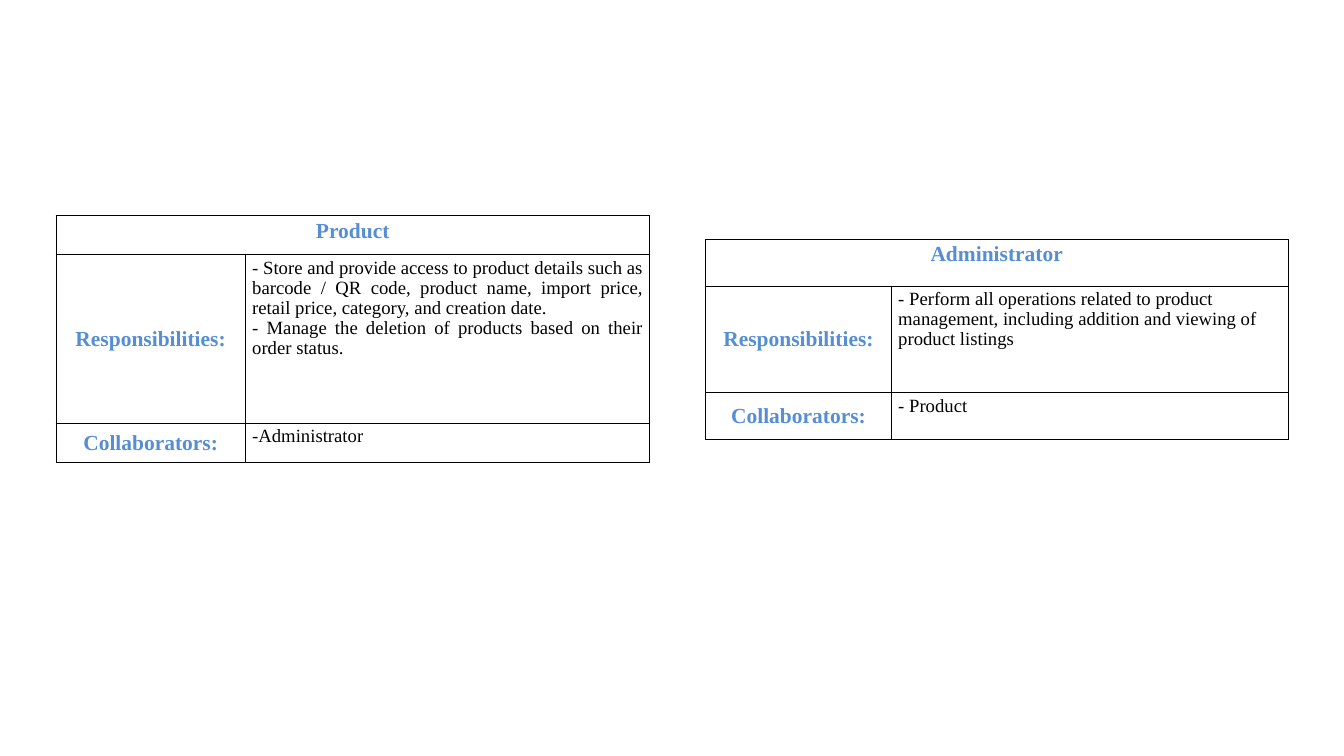
from lxml import etree
from pptx import Presentation
from pptx.dml.color import RGBColor
from pptx.enum.text import MSO_ANCHOR, PP_ALIGN
from pptx.oxml.ns import qn
from pptx.util import Pt

BLUE = RGBColor(0x55, 0x8E, 0xD5)
BLACK = RGBColor(0, 0, 0)
FONT = "Times New Roman"
LEFT, MID, FULL = PP_ALIGN.LEFT, PP_ALIGN.CENTER, PP_ALIGN.JUSTIFY
TOP, CENTER = MSO_ANCHOR.TOP, MSO_ANCHOR.MIDDLE
HEAD = dict(size=23, color=BLUE, bold=True, align=MID)

PRODUCT = (
    "Product",
    ["- Store and provide access to product details such as barcode / QR code, "
     "product name, import price, retail price, category, and creation date.",
     "- Manage the deletion of products based on their order status."],
    ["-Administrator"],
)
ADMIN = (
    "Administrator",
    ["- Perform all operations related to product management, "
     "including addition and viewing of product listings"],
    ["- Product"],
)


def write(cell, lines, size=20, color=BLACK, bold=False, align=LEFT,
          anchor=TOP, space=None):
    """Fill a cell with one formatted paragraph per line."""
    cell.vertical_anchor = anchor
    frame = cell.text_frame
    for i, line in enumerate(lines):
        para = frame.add_paragraph() if i else frame.paragraphs[0]
        para.alignment = align
        para.line_spacing = space
        run = para.add_run()
        run.text = line
        font = run.font
        font.name, font.size, font.bold = FONT, Pt(size), bold
        font.color.rgb = color


def frame_cell(cell):
    """Give a cell thin black borders and no fill."""
    props = cell._tc.get_or_add_tcPr()
    for side in ("a:lnL", "a:lnR", "a:lnT", "a:lnB"):
        line = etree.SubElement(props, qn(side), w=str(Pt(1)))
        fill = etree.SubElement(line, qn("a:solidFill"))
        etree.SubElement(fill, qn("a:srgbClr"), val=str(BLACK))
    cell.fill.background()


def add_card(slide, box, cols, rows, card, align):
    """Draw one class card with its duties and partners in the given box."""
    title, duties, partners = card
    table = slide.shapes.add_table(3, 2, *map(Pt, box)).table
    table.first_row = table.horz_banding = False
    for col, width in zip(table.columns, cols):
        col.width = Pt(width)
    for row, height in zip(table.rows, rows):
        row.height = Pt(height)
    for cell in table.iter_cells():
        frame_cell(cell)
    table.cell(0, 0).merge(table.cell(0, 1))
    write(table.cell(0, 0), [title], **HEAD)
    parts = (("Responsibilities:", duties), ("Collaborators:", partners))
    for i, (label, lines) in enumerate(parts, 1):
        write(table.cell(i, 0), [label], anchor=CENTER, **HEAD)
        write(table.cell(i, 1), lines, align=align, space=0.97)


def main():
    """Build the slide and save it."""
    deck = Presentation()
    deck.slide_width, deck.slide_height = Pt(1440), Pt(810)
    slide = deck.slides.add_slide(deck.slide_layouts[6])
    add_card(slide, (60, 231, 636, 264.4), (203, 433),
             (41.8, 180.8, 41.8), PRODUCT, FULL)
    add_card(slide, (756, 256.3, 624, 214.6), (199.2, 424.8),
             (50.2, 114.2, 50.2), ADMIN, LEFT)
    deck.save("out.pptx")


if __name__ == "__main__":
    main()
